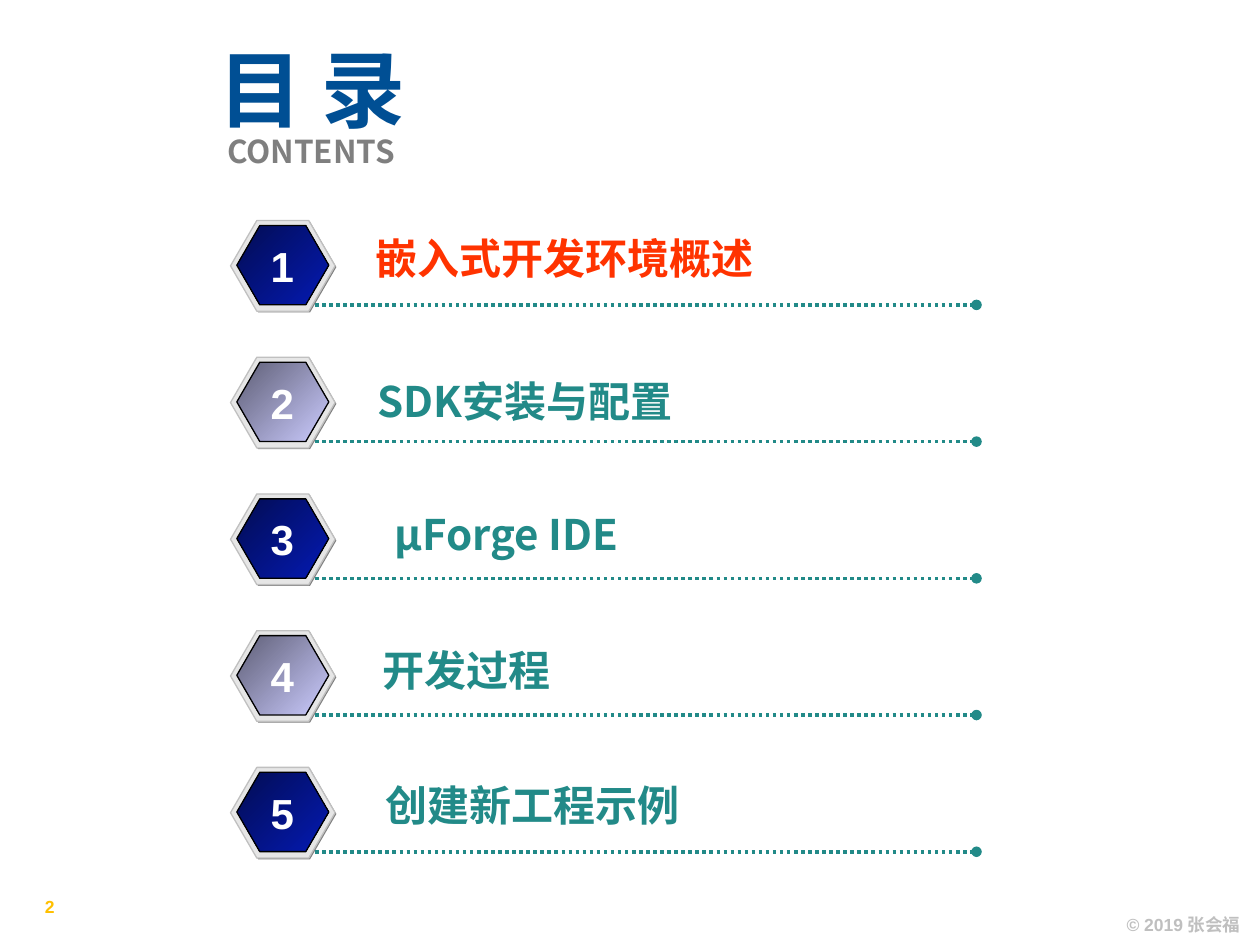
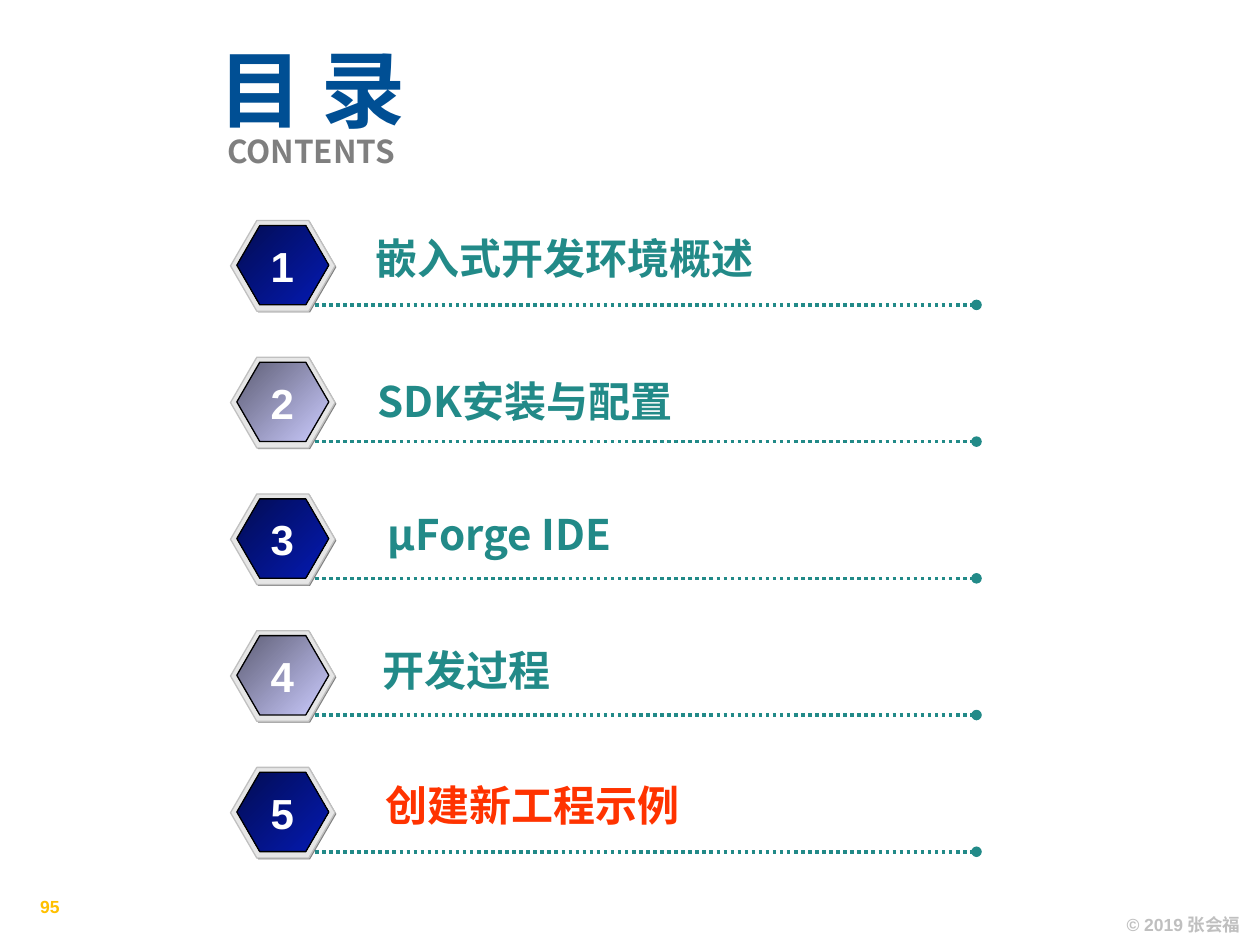
from dataclasses import dataclass

import pptx
import pptx.dml.color
import pptx.enum.dml
import pptx.enum.shapes
import pptx.enum.text
import pptx.oxml
import pptx.oxml.ns
import pptx.util
from pptx.dml.color import RGBColor
from pptx.util import Inches

# Colours
TEAL = RGBColor(0x22, 0x8A, 0x88)
HIGHLIGHT = RGBColor(0xFF, 0x33, 0x00)
TITLE_BLUE = RGBColor(0x00, 0x4F, 0x94)
SUBTITLE_GRAY = RGBColor(0x7F, 0x7F, 0x7F)
FOOTER_GRAY = RGBColor(0xBF, 0xBF, 0xBF)
PAGE_GOLD = RGBColor(0xFF, 0xC0, 0x00)
WHITE = RGBColor(0xFF, 0xFF, 0xFF)
BLACK = RGBColor(0x00, 0x00, 0x00)
BADGE_SHADE = RGBColor(0x80, 0x80, 0x80)
BADGE_RIM = RGBColor(0xE6, 0xE6, 0xE6)
RIM_LINE = RGBColor(0xC0, 0xC0, 0xC0)
NAVY = (RGBColor(0x02, 0x0C, 0x53), RGBColor(0x05, 0x1A, 0xB3))
LAVENDER = (RGBColor(0x5E, 0x5E, 0x76), RGBColor(0xCC, 0xCC, 0xFF))

# Fonts and layout
LATIN = "Arial"
CJK = "Noto Sans CJK SC"
FIRST_TOP = 1.75
ROW_PITCH = 1.085
LEFT = pptx.enum.text.PP_ALIGN.LEFT
CENTER = pptx.enum.text.PP_ALIGN.CENTER
RIGHT = pptx.enum.text.PP_ALIGN.RIGHT
TOP = pptx.enum.text.MSO_ANCHOR.TOP
MIDDLE = pptx.enum.text.MSO_ANCHOR.MIDDLE


@dataclass(frozen=True)
class Box:
    left: float
    top: float
    width: float
    height: float

    def lengths(self) -> tuple:
        return tuple(map(Inches, (self.left, self.top, self.width, self.height)))


@dataclass(frozen=True)
class TextStyle:
    size: float
    color: RGBColor
    font: str = CJK
    align: int = CENTER
    anchor: int = TOP
    before: float = 0
    after: float = 0
    wrap: bool = True
    grow: bool = True
    inset: bool = True


@dataclass(frozen=True)
class Chapter:
    name: str
    box: Box


@dataclass(frozen=True)
class Agenda:
    page: int
    current: int
    left_aligned: tuple[int, ...]


TITLE = TextStyle(48, TITLE_BLUE, anchor=MIDDLE, before=18, after=12,
                  grow=False, inset=False)
SUBTITLE = TextStyle(18, SUBTITLE_GRAY, before=6.8, after=4.5)
FOOTER = TextStyle(10, FOOTER_GRAY, LATIN, RIGHT, MIDDLE)
PAGE = TextStyle(10, PAGE_GOLD, LATIN, anchor=MIDDLE, before=6.2, grow=False)
NUMBER = TextStyle(24, WHITE, LATIN, wrap=False)

CHAPTERS = (
    Chapter("嵌入式开发环境概述", Box(2.88, 1.8, 3.2, 0.5)),
    Chapter("SDK安装与配置", Box(2.9, 2.93, 2.73, 0.5)),
    Chapter("µForge IDE", Box(2.98, 3.99, 2.08, 0.5)),
    Chapter("开发过程", Box(2.94, 5.07, 1.53, 0.5)),
    Chapter("创建新工程示例", Box(2.96, 6.14, 2.53, 0.5)),
)
AGENDAS = (Agenda(2, 1, (2,)), Agenda(95, 5, (1, 2, 3)))


def add_text(shapes, box: Box, text: str, style: TextStyle) -> None:
    tf = shapes.add_textbox(*box.lengths()).text_frame
    tf.word_wrap = style.wrap
    tf.vertical_anchor = style.anchor
    if style.grow:
        tf.auto_size = pptx.enum.text.MSO_AUTO_SIZE.SHAPE_TO_FIT_TEXT
    if not style.inset:
        tf.margin_left = tf.margin_right = tf.margin_top = tf.margin_bottom = 0
    p = tf.paragraphs[0]
    p.text = text
    p.alignment = style.align
    p.space_before = pptx.util.Pt(style.before)
    p.space_after = pptx.util.Pt(style.after)
    p.font.size = pptx.util.Pt(style.size)
    p.font.bold = True
    p.font.color.rgb = style.color
    p.font.name = style.font
    # East Asian characters need their own typeface entry
    ea = pptx.oxml.parse_xml(f'<a:ea {pptx.oxml.ns.nsdecls("a")} typeface="{CJK}"/>')
    p._p.pPr.find(pptx.oxml.ns.qn("a:defRPr")).append(ea)


def add_hexagon(shapes, box: Box, colors: tuple[RGBColor, ...],
                outline: RGBColor | None = None) -> None:
    sp = shapes.add_shape(pptx.enum.shapes.MSO_SHAPE.HEXAGON, *box.lengths())
    sp.adjustments[0] = 0.29
    sp.shadow.inherit = False
    if len(colors) == 1:
        sp.fill.solid()
        sp.fill.fore_color.rgb = colors[0]
    else:
        sp.fill.gradient()
        sp.fill.gradient_angle = 315
        for stop, color in zip(sp.fill.gradient_stops, colors):
            stop.color.rgb = color
    if outline is None:
        sp.line.fill.background()
    else:
        sp.line.color.rgb = outline
        sp.line.width = pptx.util.Pt(0.75)


def add_dotted_rule(shapes, y: float) -> None:
    rule = shapes.add_connector(pptx.enum.shapes.MSO_CONNECTOR.STRAIGHT,
                                Inches(2.5), Inches(y), Inches(7.75), Inches(y))
    rule.line.color.rgb = TEAL
    rule.line.width = pptx.util.Pt(2)
    rule.line.dash_style = pptx.enum.dml.MSO_LINE.ROUND_DOT
    ns = pptx.oxml.ns.nsdecls("a")
    rule.line._get_or_add_ln().append(pptx.oxml.parse_xml(f'<a:tailEnd {ns} type="oval"/>'))
    rule._element.spPr.append(pptx.oxml.parse_xml(f"<a:effectLst {ns}/>"))


def add_chapter(slide, number: int, chapter: Chapter, agenda: Agenda) -> None:
    shapes = slide.shapes.add_group_shape().shapes
    top = FIRST_TOP + (number - 1) * ROW_PITCH
    # Badge: shade, rim and gradient face
    add_hexagon(shapes, Box(1.84, top + 0.01, 0.83, 0.72), (BADGE_SHADE,))
    add_hexagon(shapes, Box(1.83, top, 0.83, 0.72), (BADGE_RIM,), RIM_LINE)
    face = NAVY if number % 2 else LAVENDER
    add_hexagon(shapes, Box(1.88, top + 0.04, 0.73, 0.63), face, BLACK)
    add_dotted_rule(shapes, top + 0.67)
    # Chapter name and number
    color = HIGHLIGHT if number == agenda.current else TEAL
    align = LEFT if number in agenda.left_aligned else CENTER
    add_text(shapes, chapter.box, chapter.name,
             TextStyle(24, color, align=align, wrap=False))
    add_text(shapes, Box(2.05, top + 0.11, 0.38, 0.5), str(number), NUMBER)


def add_agenda(prs, agenda: Agenda) -> None:
    slide = prs.slides.add_slide(prs.slide_layouts[6])
    # Footer and page number
    add_text(slide.shapes, Box(8.09, 7.2, 1.85, 0.27), "© 2019 张会福", FOOTER)
    add_text(slide.shapes, Box(0.14, 7.02, 0.51, 0.35), str(agenda.page), PAGE)
    # Heading
    add_text(slide.shapes, Box(1.51, 0.26, 1.93, 0.87), "目 录", TITLE)
    add_text(slide.shapes, Box(1, 1, 2.94, 0.4), "CONTENTS", SUBTITLE)
    for number, chapter in enumerate(CHAPTERS, 1):
        add_chapter(slide, number, chapter, agenda)


def main() -> None:
    prs = pptx.Presentation()
    prs.slide_width, prs.slide_height = Inches(10), Inches(7.5)
    for agenda in AGENDAS:
        add_agenda(prs, agenda)
    prs.save("out.pptx")


if __name__ == "__main__":
    main()
